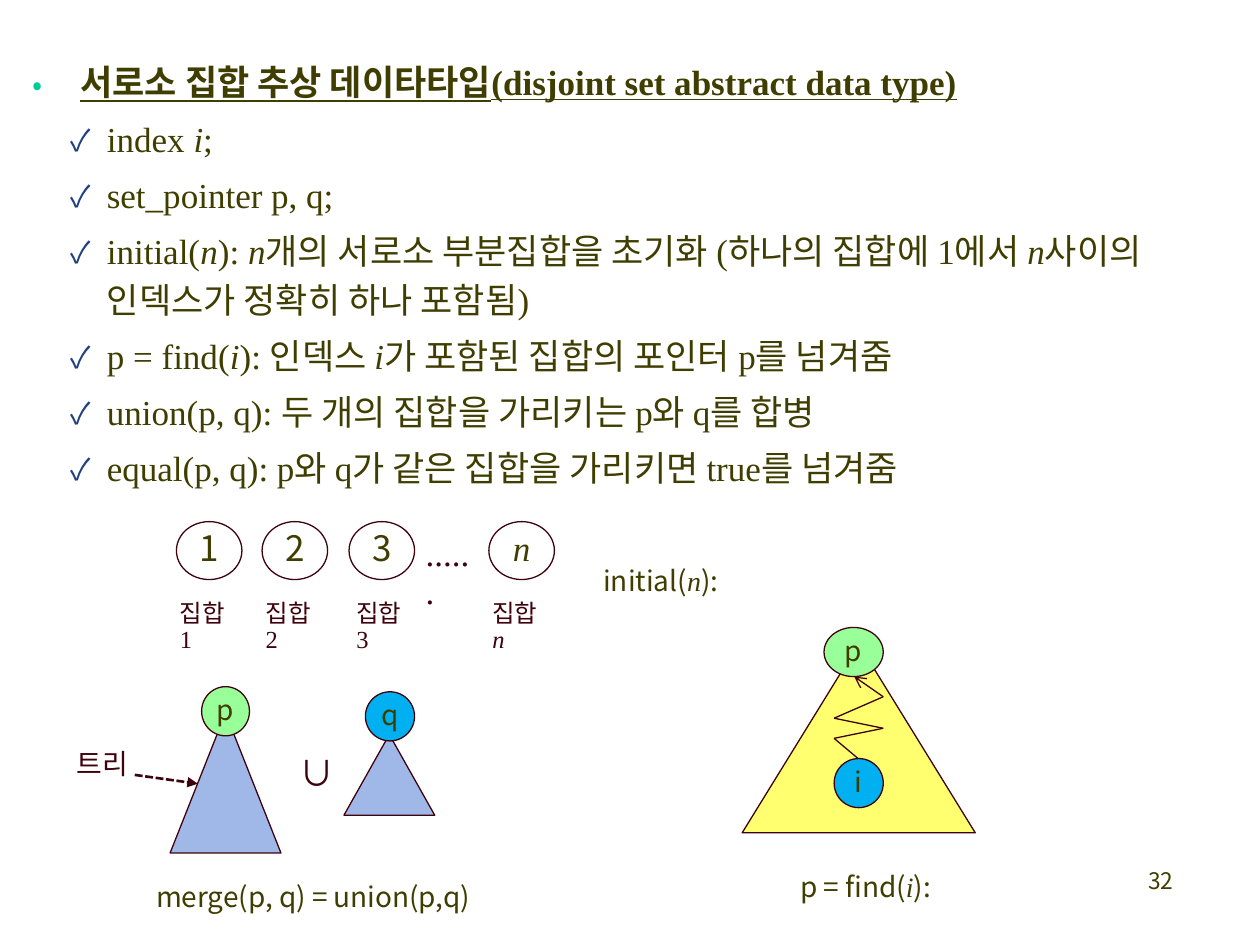
from lxml import etree
from pptx import Presentation
from pptx.dml.color import RGBColor
from pptx.enum import dml, shapes, text
from pptx.oxml.ns import qn
from pptx.util import Inches, Pt

SANS, SERIF = "Noto Sans CJK KR", "Times New Roman"
INK, WINE, GREEN, BLUE = "3F3E00", "3E020C", "99FF99", "00B0F0"
PALE, YELLOW = "9FB8E7", "FFFF70"
OVAL = shapes.MSO_SHAPE.OVAL
CONE = shapes.MSO_SHAPE.ISOSCELES_TRIANGLE
MID = text.MSO_ANCHOR.MIDDLE
CENTER, RIGHT = text.PP_ALIGN.CENTER, text.PP_ALIGN.RIGHT
TASKS = [
    "index *i*;",
    "set_pointer p, q;",
    "initial(*n*): *n*개의 서로소 부분집합을 초기화 (하나의 집합에 1에서 *n*사이의 인덱스가 정확히 하나 포함됨)",
    "p = find(*i*): 인덱스 *i*가 포함된 집합의 포인터 p를 넘겨줌",
    "union(p, q): 두 개의 집합을 가리키는 p와 q를 합병",
    "equal(p, q): p와 q가 같은 집합을 가리키면 true를 넘겨줌",
]


def color(code):
    return RGBColor.from_string(code)


def apply(part, style):
    for name, value in style.items():
        setattr(part, name, value)


def add(parent, tag, **attrs):
    return etree.SubElement(parent, qn(tag), attrs)


def write(para, words, size, face=SANS, ink=INK, **style):
    for n, part in enumerate(words.split("*")):
        if not part:
            continue
        run = para.add_run()
        run.text = part
        slant = n % 2 == 1
        look = {"size": Pt(size), "name": SERIF if slant else face, "italic": slant}
        apply(run.font, {**look, **style})
        run.font.color.rgb = color(ink)
        add(run.font._element, "a:ea", typeface=SANS)


def bullet(para, sign, tint, left, hang):
    props = para._p.get_or_add_pPr()
    props.set("marL", str(Inches(left)))
    props.set("indent", str(Inches(-hang)))
    add(add(props, "a:buClr"), "a:srgbClr", val=tint)
    add(props, "a:buSzPct", val="85000")
    add(props, "a:buFont", typeface=SANS)
    add(props, "a:buChar", char=sign)


def frame(shape, wrap=True, pad=0.1, rim=0.05, anchor=text.MSO_ANCHOR.TOP):
    body = shape.text_frame
    apply(body, {
        "word_wrap": wrap, "vertical_anchor": anchor,
        "margin_left": Inches(pad), "margin_right": Inches(pad),
        "margin_top": Inches(rim), "margin_bottom": Inches(rim),
    })
    return body


def label(slide, box, words, size, face=SANS, ink=INK, wrap=True, pad=0.1,
          align=None, gap=0.9):
    body = frame(slide.shapes.add_textbox(*map(Inches, box)), wrap, pad)
    para = body.paragraphs[0]
    apply(para, {"alignment": align, "line_spacing": gap})
    write(para, words, size, face, ink)


def solid(slide, kind, box, fill=None):
    shape = slide.shapes.add_shape(kind, *map(Inches, box))
    shape.shadow.inherit = False
    if fill:
        shape.fill.solid()
        shape.fill.fore_color.rgb = color(fill)
    else:
        shape.fill.background()
    shape.line.color.rgb = color(WINE)
    shape.line.width = Pt(0.75)
    return shape


def node(slide, box, words, fill=None, size=16):
    shape = solid(slide, OVAL, box, fill)
    para = frame(shape, True, 0, 0, MID).paragraphs[0]
    apply(para, {"alignment": CENTER, "line_spacing": 0.9})
    write(para, words, size)


def link(slide, start, end, width=0.75, head=None, dash=None):
    line = slide.shapes.add_connector(
        shapes.MSO_CONNECTOR.STRAIGHT, *map(Inches, (*start, *end)))
    line.line.color.rgb = color(WINE)
    line.line.width = Pt(width)
    if dash:
        line.line.dash_style = dash
    if head:
        add(line.line._get_or_add_ln(), "a:tailEnd", type=head)
    add(line._element.spPr, "a:effectLst")


def outline(slide, box):
    body = frame(slide.shapes.add_textbox(*map(Inches, box)))
    para = body.paragraphs[0]
    bullet(para, "•", "00CC99", 0.38, 0.38)
    para.line_spacing = 0.9
    write(para, "서로소 집합 추상 데이타타입(disjoint set abstract data type)",
          20, SERIF, bold=True, underline=True)
    for task in TASKS:
        para = body.add_paragraph()
        bullet(para, "✓", "204080", 0.59, 0.29)
        apply(para, {"line_spacing": Pt(28), "space_before": Pt(4)})
        write(para, task, 20, SERIF)


def sets(slide, x, y):
    for name, dx, tag in (("1", 0.07, 0), ("2", 0.75, 0.68),
                          ("3", 1.44, 1.4), ("*n*", 2.55, 2.48)):
        node(slide, (x + dx, y, 0.52, 0.46), name, size=20)
        label(slide, (x + tag, y + 0.58, 0.65, 0.26), "집합" + name, 14, SERIF, WINE)
    label(slide, (x + 1.95, y + 0.07, 0.59, 0.34), "......", 20, SERIF, WINE)
    label(slide, (x + 3.36, y + 0.31, 1.12, 0.34), "initial(*n*):", 16, wrap=False)


def merge(slide, x, y):
    solid(slide, CONE, (x + 0.84, y + 0.21, 0.88, 1.11), PALE)
    solid(slide, CONE, (x + 2.22, y + 0.38, 0.72, 0.64), PALE)
    node(slide, (x + 1.09, y, 0.38, 0.39), "p", GREEN)
    node(slide, (x + 2.39, y + 0.04, 0.39, 0.39), "q", BLUE)
    label(slide, (x + 1.77, y + 0.5, 0.47, 0.4), "∪", 20, ink=WINE, wrap=False)
    label(slide, (x, y + 0.43, 0.7, 0.37), "트리", 16, SERIF, WINE, gap=1.0)
    link(slide, (x + 0.56, y + 0.7), (x + 1.06, y + 0.77), 1.5,
         "triangle", dml.MSO_LINE.SQUARE_DOT)
    label(slide, (x + 0.63, y + 1.51, 3.18, 0.34), "merge(p, q) = union(p,q)", 16)


def find(slide, x, y):
    solid(slide, CONE, (x, y + 0.13, 1.85, 1.5), YELLOW)
    node(slide, (x + 0.65, y, 0.47, 0.39), "p", GREEN)
    node(slide, (x + 0.73, y + 1.04, 0.39, 0.39), "i", BLUE)
    trail = [(0.92, 1.04), (0.73, 0.88), (1.12, 0.8), (0.73, 0.72),
             (1.12, 0.55), (0.89, 0.39)]
    spots = [(x + dx, y + dy) for dx, dy in trail]
    for start, end in zip(spots, spots[1:]):
        link(slide, start, end, head="arrow" if end == spots[-1] else None)
    label(slide, (x + 0.42, y + 1.9, 1.21, 0.34), "p = find(*i*):", 16,
          wrap=False, pad=0.04)


def main():
    deck = Presentation()
    apply(deck, {"slide_width": Inches(10), "slide_height": Inches(7.5)})
    slide = deck.slides.add_slide(deck.slide_layouts[6])
    outline(slide, (0.16, 0.47, 9.67, 4.06))
    sets(slide, 1.33, 4.14)
    merge(slide, 0.51, 5.45)
    find(slide, 5.89, 4.98)
    label(slide, (7.33, 6.83, 2.08, 0.5), "32", 13, align=RIGHT, gap=1.0)
    deck.save("out.pptx")


if __name__ == "__main__":
    main()
